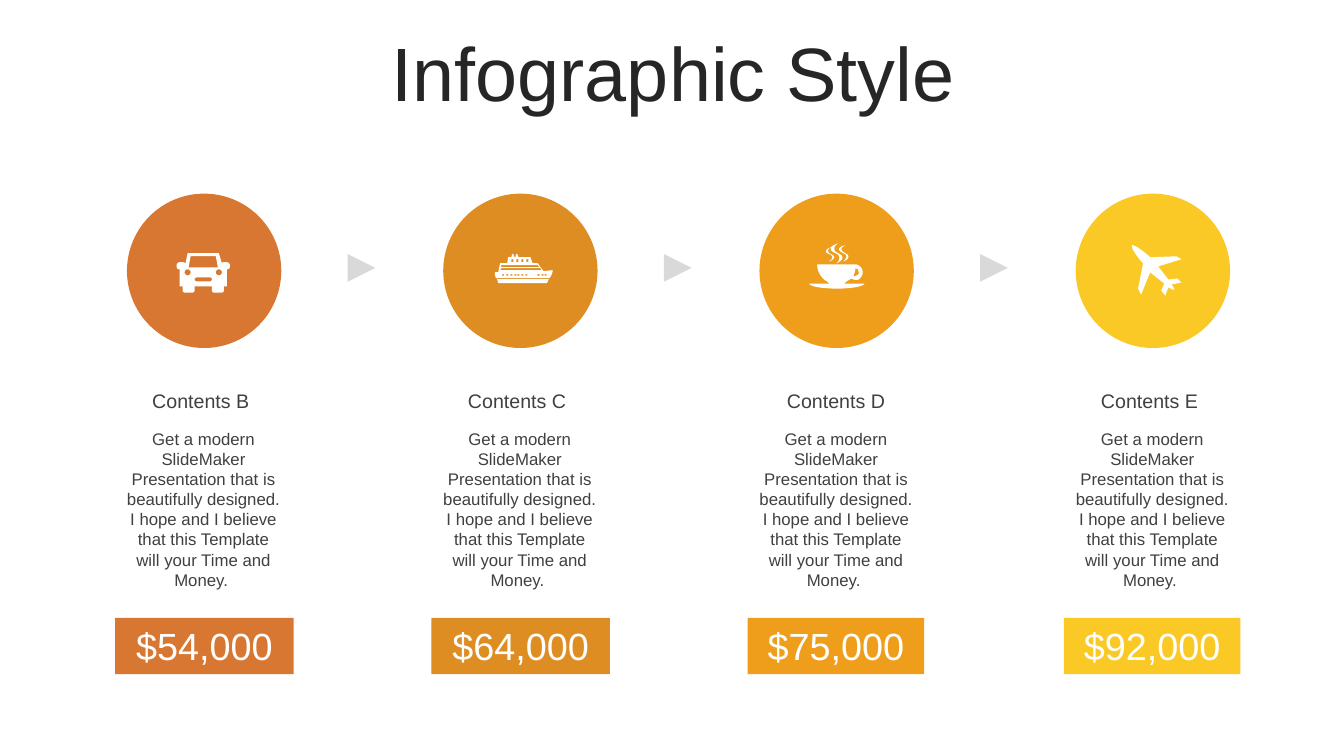
from pptx import Presentation
from pptx.dml.color import RGBColor
from pptx.enum.shapes import MSO_SHAPE
from pptx.enum.text import MSO_ANCHOR, PP_ALIGN
from pptx.util import Cm, Pt

FONT = "Arial"
INK = RGBColor(0x26, 0x26, 0x26)
GREY = RGBColor(0x40, 0x40, 0x40)
ARROW = RGBColor(0xD9, 0xD9, 0xD9)
WHITE = RGBColor(0xFF, 0xFF, 0xFF)
RUST = RGBColor(0xD8, 0x77, 0x32)
OCHRE = RGBColor(0xDE, 0x8D, 0x22)
ORANGE = RGBColor(0xEF, 0x9E, 0x1B)
YELLOW = RGBColor(0xFA, 0xC9, 0x26)


def box(left, top, width, height):
    right, bottom = left + width, top + height
    return [(left, top), (left, bottom), (right, bottom), (right, top)]


def disc(x, y, r):
    k = 0.55 * r
    return [(x, y - r),
            (x + k, y - r, x + r, y - k, x + r, y),
            (x + r, y + k, x + k, y + r, x, y + r),
            (x - k, y + r, x - r, y + k, x - r, y),
            (x - r, y - k, x - k, y - r, x, y - r)]


# Icon outlines in 1/100 inch: two numbers are a corner, six a Bezier curve
CAR = [
    [(11, 0), (42, 0), (45, 10), (46, 9), (50, 9), (52, 9, 53, 11, 53, 12),
     (53, 13), (53, 15, 52, 16, 50, 16), (50, 33), (47, 33), (47, 37),
     (47, 38, 46, 39, 45, 39), (37, 39), (36, 39, 35, 38, 35, 37), (35, 33),
     (18, 33), (18, 37), (18, 38, 17, 39, 16, 39), (8, 39),
     (7, 39, 6, 38, 6, 37), (6, 33), (3, 33), (3, 16),
     (1, 16, 0, 15, 0, 13), (0, 12), (0, 11, 1, 9, 3, 9), (7, 9), (9, 10)],
    [(14, 3), (12, 14), (41, 14), (39, 3)],
    [(20, 24), (18, 25), (18, 26), (18, 27, 19, 28, 20, 28), (34, 28),
     (34, 28, 35, 27, 35, 26), (35, 25), (34, 24)],
    disc(11, 19, 3),
    disc(42, 19, 3),
]
SHIP = [
    [(21, 0), (22, 0), (23, 3), (35, 3), (37, 9), (42, 9), (48, 17), (57, 16),
     (57, 19, 56, 21, 54, 24), (1, 24), (0, 22, -1, 20, 0, 18), (3, 18),
     (5, 9), (12, 9), (13, 3), (16, 3), (17, 0), (18, 0), (19, 3), (20, 3)],
    [(2, 25), (53, 25), (53, 26, 52, 28, 51, 29), (3, 29), (3, 28, 2, 26, 2, 25)],
    [(6, 14), (5, 16), (46, 16), (45, 14)],
    [(6, 11), (6, 13), (44, 13), (42, 11)],
    *[box(x, 20, 2, 1.5) for x in (7, 11, 15, 19, 22, 26, 30, 42, 46, 49)],
    *[box(x, 5, 2, 3) for x in (16, 21, 26, 31)],
]
CUP = [
    [(47, 21), (50, 22, 52, 24, 53, 27), (54, 30, 52, 34, 49, 36),
     (46, 37, 44, 36, 42, 35), (40, 36, 39, 37, 37, 38),
     (36, 39, 35, 40, 34, 40), (55, 40), (54, 43, 42, 45, 28, 45),
     (13, 45, 1, 43, 0, 40), (21, 40), (20, 40, 19, 39, 18, 38),
     (12, 35, 8, 28, 8, 21)],
    [(46, 25), (46, 27, 45, 30, 44, 32), (45, 33, 46, 33, 47, 32),
     (49, 31, 50, 30, 49, 28), (49, 26, 48, 25, 46, 25)],
    [(22, 4), (20, 5, 19, 5, 19, 8), (19, 11, 25, 11, 25, 14),
     (24, 16, 23, 17, 20, 18), (22, 16, 23, 16, 23, 14),
     (23, 11, 19, 11, 17, 9), (16, 7, 18, 5, 22, 4)],
    [(36, 2), (34, 3, 32, 4, 32, 6), (33, 10, 40, 10, 39, 14),
     (38, 16, 37, 17, 34, 18), (36, 16, 37, 15, 37, 13),
     (37, 10, 32, 10, 30, 7), (29, 5, 31, 3, 36, 2)],
    [(29, 0), (26, 2, 25, 3, 25, 6), (25, 10, 34, 10, 33, 15),
     (32, 17, 31, 18, 27, 20), (29, 18, 30, 17, 30, 14),
     (30, 10, 24, 10, 22, 7), (20, 4, 23, 2, 29, 0)],
]
PLANE = [
    [(49, 37), (39, 39), (40, 40, 42, 43, 42, 44), (40, 45, 38, 42, 36, 42),
     (33, 50), (29, 45), (32, 38), (18, 27), (9, 49), (6, 43),
     (8, 34, 9, 27, 11, 18), (7, 14, -2, 2, 0, 0), (2, -1, 13, 7, 18, 12),
     (44, 11), (49, 14), (26, 21), (36, 34), (38, 34, 45, 33, 45, 33)],
]

# Content: heading, price, price width, colour, icon, icon offset in its circle
TITLE = "Infographic Style"
BODY = ("Get a modern SlideMaker Presentation that is beautifully designed. "
        "I hope and I believe that this Template will your Time and Money. ")
STEPS = [
    ("Contents B ", "$54,000", 4.5, RUST, CAR, (1.25, 1.5)),
    ("Contents C ", "$64,000", 4.5, OCHRE, SHIP, (1.31, 1.52)),
    ("Contents D", "$75,000", 4.45, ORANGE, CUP, (1.25, 1.25)),
    ("Contents E ", "$92,000", 4.45, YELLOW, PLANE, (1.42, 1.3)),
]

# Layout in cm
FIRST_LEFT, PITCH = 3.2, 7.97
CIRCLE_TOP, CIRCLE_SIZE = 4.88, 3.89
ARROW_SHIFT, ARROW_TOP, ARROW_SIZE = 5.56, 6.4, 0.7
TEXT_SHIFT, TEXT_WIDTH = -0.32, 4.5
PRICE_SHIFT, PRICE_TOP, PRICE_HEIGHT = -0.3, 15.57, 1.42
FINE = 10  # outline steps per 1/100 inch
CURVE_STEPS = 8

prs = Presentation()
prs.slide_width, prs.slide_height = Cm(33.87), Cm(19.05)
slide = prs.slides.add_slide(prs.slide_layouts[6])


def paint(shape, color):
    shape.shadow.inherit = False
    shape.fill.solid()
    shape.fill.fore_color.rgb = color
    shape.line.fill.background()


def add_preset(kind, color, *place):
    shape = slide.shapes.add_shape(kind, *map(Cm, place))
    paint(shape, color)
    return shape


def write(shape, text, size, color):
    frame = shape.text_frame
    frame.word_wrap = True
    frame.vertical_anchor = MSO_ANCHOR.TOP
    paragraph = frame.paragraphs[0]
    paragraph.alignment = PP_ALIGN.CENTER
    run = paragraph.add_run()
    run.text = text
    run.font.name, run.font.size = FONT, Pt(size)
    run.font.color.rgb = color
    return frame


def add_label(text, size, color, *place):
    return write(slide.shapes.add_textbox(*map(Cm, place)), text, size, color)


def flatten(outline):
    points = []
    for part in outline:
        if len(part) == 2:
            points.append(part)
            continue
        x0, y0 = points[-1]
        x1, y1, x2, y2, x3, y3 = part
        for step in range(1, CURVE_STEPS + 1):
            t = step / CURVE_STEPS
            a, b, c, d = (1 - t) ** 3, 3 * t * (1 - t) ** 2, 3 * t * t * (1 - t), t ** 3
            points.append((a * x0 + b * x1 + c * x2 + d * x3,
                           a * y0 + b * y1 + c * y2 + d * y3))
    return [(x * FINE, y * FINE) for x, y in points]


def add_icon(outlines, left, top):
    contours = [flatten(outline) for outline in outlines]
    builder = slide.shapes.build_freeform(*contours[0][0], scale=Cm(2.54) / (100 * FINE))
    for i, points in enumerate(contours):
        if i:
            builder.move_to(*points[0])
        builder.add_line_segments(points[1:], close=True)
    paint(builder.convert_to_shape(Cm(left), Cm(top)), WHITE)


# Title
title = add_label(TITLE, 54, INK, 0.89, 0.94, 32.16, 2.01)
title.vertical_anchor = MSO_ANCHOR.MIDDLE
title.paragraphs[0].line_spacing = 0.9

# Step columns, with an arrow between neighbours
for i, (heading, price, price_width, color, icon, (icon_x, icon_y)) in enumerate(STEPS):
    left = FIRST_LEFT + i * PITCH
    add_preset(MSO_SHAPE.OVAL, color, left, CIRCLE_TOP, CIRCLE_SIZE, CIRCLE_SIZE)
    add_icon(icon, left + icon_x, CIRCLE_TOP + icon_y)
    add_label(heading, 14, GREY, left + TEXT_SHIFT, 9.68, TEXT_WIDTH, 0.86)
    add_label(BODY, 12, GREY, left + TEXT_SHIFT, 10.67, TEXT_WIDTH, 4.37)
    banner = add_preset(MSO_SHAPE.RECTANGLE, color, left + PRICE_SHIFT, PRICE_TOP,
                        price_width, PRICE_HEIGHT)
    write(banner, price, 27, WHITE)
    if i < len(STEPS) - 1:
        arrow = add_preset(MSO_SHAPE.ISOSCELES_TRIANGLE, ARROW, left + ARROW_SHIFT,
                           ARROW_TOP, ARROW_SIZE, ARROW_SIZE)
        arrow.rotation = 90

prs.save("out.pptx")
